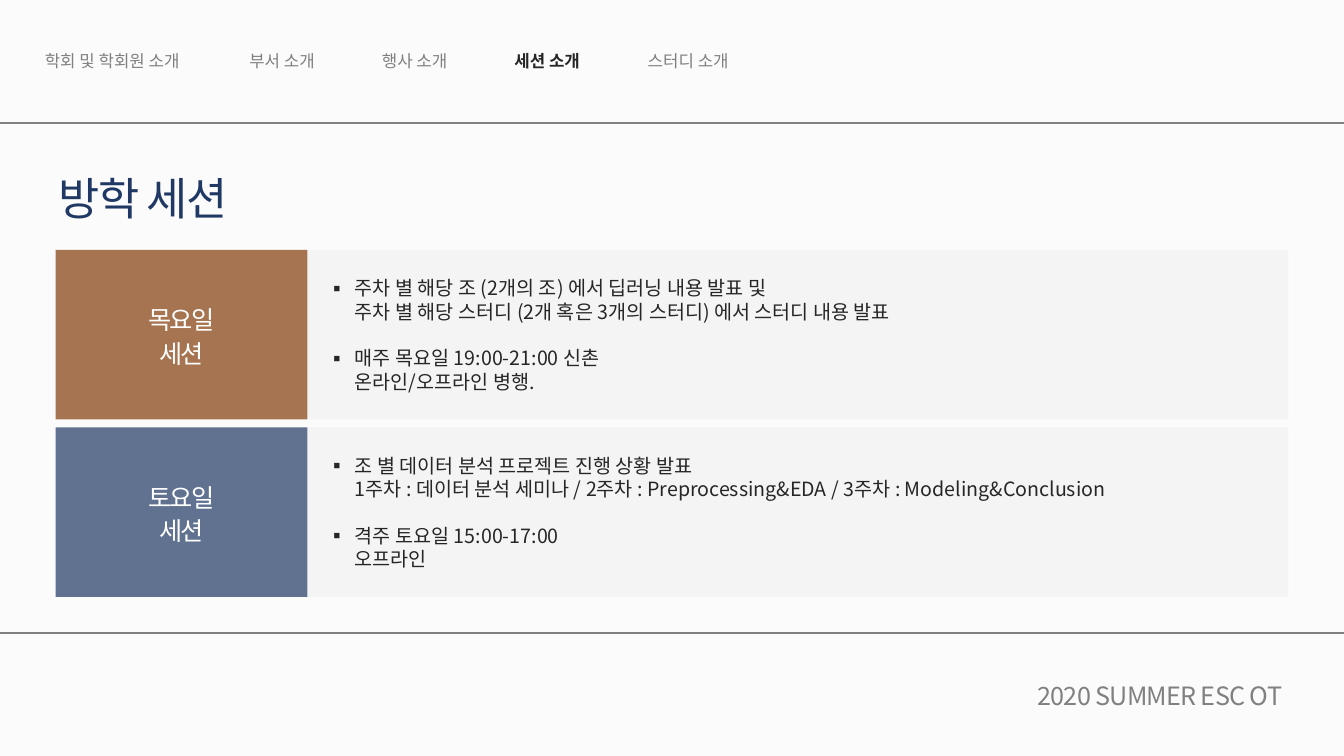
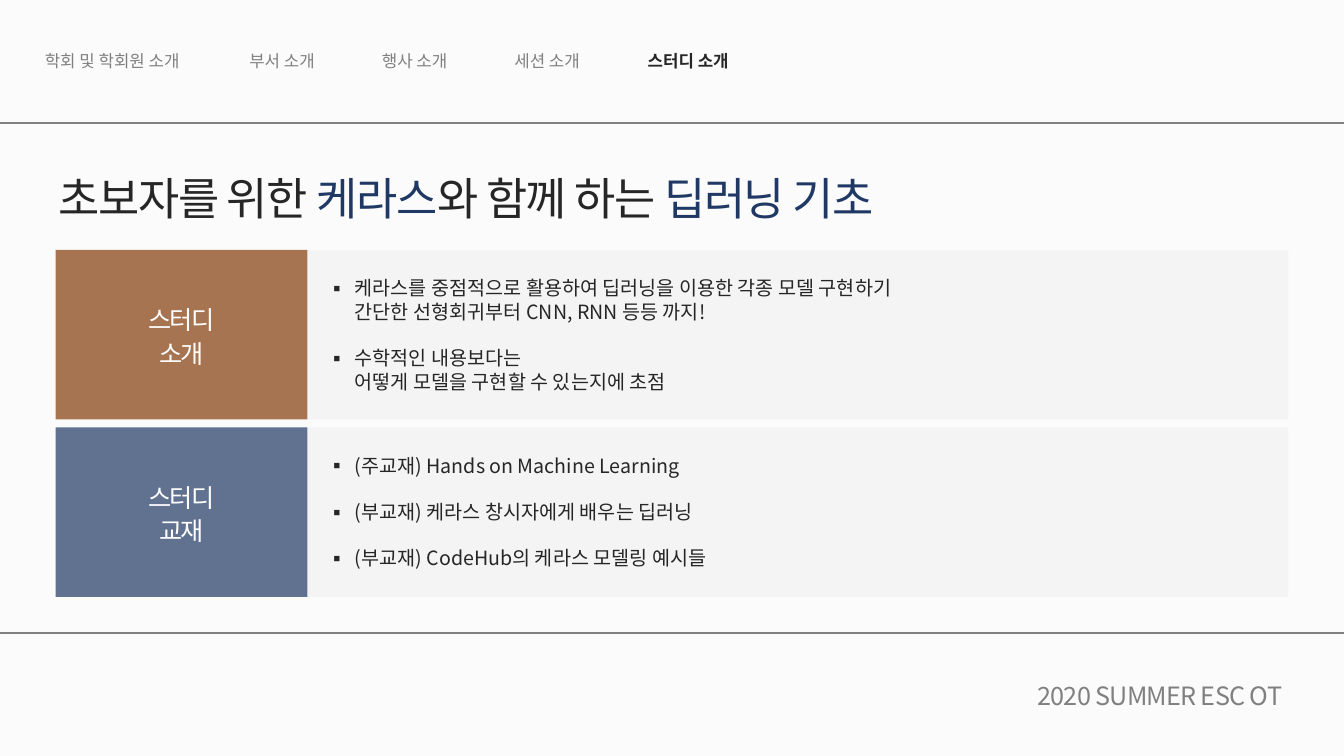
from dataclasses import dataclass

from lxml.etree import SubElement
from pptx import Presentation
from pptx.dml.color import RGBColor
from pptx.enum.shapes import MSO_CONNECTOR as Connector, MSO_SHAPE as Shape
from pptx.enum.text import MSO_ANCHOR as Anchor, MSO_AUTO_SIZE as AutoSize, PP_ALIGN as Align
from pptx.oxml.ns import qn
from pptx.util import Cm, Pt


@dataclass(frozen=True)
class Theme:
    paper: str = "FBFBFB"
    ink: str = "262626"
    muted: str = "808080"
    navy: str = "203864"
    rust: str = "843C0B"
    panel: str = "F2F2F2"
    white: str = "FFFFFF"
    font: str = "Noto Sans CJK KR"
    accent_font: str = "Karla"
    title_size: int = 32
    label_size: int = 18
    list_size: int = 14
    menu_size: int = 12
    leading: float = 1.32
    list_leading: float = 1.22
    item_gap: int = 16


THEME = Theme()

MENU = [
    ("학회 및 학회원 소개", 4.14, THEME.font),
    ("부서 소개", 2.26, THEME.accent_font),
    ("행사 소개", 2.26, THEME.accent_font),
    ("세션 소개", 2.26, THEME.accent_font),
    ("스터디 소개", 2.69, THEME.font),
]
FOOTER = "2020 SUMMER ESC OT"

# Titles hold (text, colour, font); panels hold (label lines, items), an item being its lines.
PAGES = [
    {
        "active": "세션 소개",
        "title": [("방학 세션", THEME.navy, THEME.font)],
        "panels": [
            (["목요일", "세션"], [
                ["주차 별 해당 조 (2개의 조) 에서 딥러닝 내용 발표 및",
                 "주차 별 해당 스터디 (2개 혹은 3개의 스터디) 에서 스터디 내용 발표"],
                ["매주 목요일 19:00-21:00 신촌", "온라인/오프라인 병행."],
            ]),
            (["토요일", "세션"], [
                ["조 별 데이터 분석 프로젝트 진행 상황 발표",
                 "1주차 : 데이터 분석 세미나 / 2주차 : Preprocessing&EDA / "
                 "3주차 : Modeling&Conclusion"],
                ["격주 토요일 15:00-17:00", "오프라인"],
            ]),
        ],
    },
    {
        "active": "스터디 소개",
        "title": [
            ("초보자를 위한 ", THEME.ink, THEME.font),
            ("케라스", THEME.navy, THEME.accent_font),
            ("와 함께 하는 ", THEME.ink, THEME.font),
            ("딥러닝 기초", THEME.navy, THEME.font),
        ],
        "panels": [
            (["스터디", "소개"], [
                ["케라스를 중점적으로 활용하여 딥러닝을 이용한 각종 모델 구현하기",
                 "간단한 선형회귀부터 CNN, RNN 등등 까지!"],
                ["수학적인 내용보다는", "어떻게 모델을 구현할 수 있는지에 초점"],
            ]),
            (["스터디", "교재"], [
                ["(주교재) Hands on Machine Learning"],
                ["(부교재) 케라스 창시자에게 배우는 딥러닝"],
                ["(부교재) CodeHub의 케라스 모델링 예시들"],
            ]),
        ],
    },
]

PAGE_WIDTH, PAGE_HEIGHT = 33.87, 19.05
RULE_TOPS = (3.1, 15.95)
MENU_LEFT, MENU_TOP, MENU_HEIGHT, MENU_GAP = 0.76, 1.09, 0.81, 1.08
PANEL_LEFT, PANEL_TOP, PANEL_HEIGHT, PANEL_GAP = 1.4, 6.3, 4.27, 0.2
LABEL_WIDTH, LIST_WIDTH = 6.35, 24.71
LIST_INSET, LIST_INDENT, LIST_TOP = 0.5, 0.69, 0.65
TWO_CONTENT = 3


def place(shape, left, top, width, height):
    shape.left, shape.top = Cm(left), Cm(top)
    shape.width, shape.height = Cm(width), Cm(height)


def add_span(para, text, size, color, font=THEME.font, bold=False, tracking=0):
    """Add one run; tracking is in hundredths of a point."""
    span = para.add_run()
    span.text = text
    span.font.size, span.font.bold, span.font.name = Pt(size), bold, font
    span.font.color.rgb = RGBColor.from_string(color)
    properties = span._r.get_or_add_rPr()
    properties.set("spc", str(tracking))
    SubElement(properties, qn("a:ea")).set("typeface", THEME.font)


def set_para(para, align, size, leading=THEME.leading, before=0):
    para.alignment = align
    para.line_spacing = Pt(round(size * leading))
    para.space_before, para.space_after = Pt(before), Pt(0)


def paragraph_at(frame, index):
    return frame.add_paragraph() if index else frame.paragraphs[0]


def tint(shape, color, opacity):
    shape.fill.solid()
    shape.fill.fore_color.rgb = RGBColor.from_string(color)
    color_node = shape._element.spPr.find(".//" + qn("a:srgbClr"))
    SubElement(color_node, qn("a:alpha")).set("val", str(opacity * 1000))
    shape.line.fill.background()


def add_bullet(para):
    properties = para._p.get_or_add_pPr()
    properties.set("marL", str(Cm(LIST_INDENT)))
    properties.set("indent", str(-Cm(LIST_INDENT)))
    color = SubElement(properties, qn("a:buClr"))
    SubElement(color, qn("a:srgbClr")).set("val", THEME.ink)
    SubElement(properties, qn("a:buFont")).set("typeface", THEME.font)
    SubElement(properties, qn("a:buChar")).set("char", "▪")


def add_rules(page):
    for top in RULE_TOPS:
        rule = page.shapes.add_connector(
            Connector.STRAIGHT, Cm(0), Cm(top), Cm(PAGE_WIDTH), Cm(top))
        rule.line.color.rgb = RGBColor.from_string(THEME.muted)
        rule.line.width = Pt(1)
        SubElement(rule._element.spPr, qn("a:effectLst"))


def add_menu(page, active):
    menu = page.shapes.add_group_shape()
    left = MENU_LEFT
    for text, width, font in MENU:
        box = menu.shapes.add_textbox(Cm(left), Cm(MENU_TOP), Cm(width), Cm(MENU_HEIGHT))
        para = box.text_frame.paragraphs[0]
        set_para(para, Align.CENTER, THEME.menu_size)
        chosen = text == active
        add_span(para, text, THEME.menu_size, THEME.ink if chosen else THEME.muted,
                 THEME.accent_font if chosen else font, chosen)
        left += width + MENU_GAP


def add_footer(page):
    box = page.shapes.add_textbox(Cm(24.26), Cm(16.94), Cm(8.3), Cm(1.09))
    box.text_frame.word_wrap = True
    para = box.text_frame.paragraphs[0]
    set_para(para, Align.RIGHT, THEME.label_size)
    add_span(para, FOOTER, THEME.label_size, THEME.muted, tracking=-50)


def fill_title(title, spans):
    place(title, 1.22, 4.04, 30, 1.75)
    frame = title.text_frame
    frame.auto_size = AutoSize.NONE
    frame.vertical_anchor = Anchor.MIDDLE
    para = frame.paragraphs[0]
    set_para(para, Align.LEFT, THEME.title_size)
    for text, color, font in spans:
        add_span(para, text, THEME.title_size, color, font, tracking=-100)


def add_label(page, top, lines, color):
    label = page.shapes.add_shape(
        Shape.RECTANGLE, Cm(PANEL_LEFT), Cm(top), Cm(LABEL_WIDTH), Cm(PANEL_HEIGHT))
    label.shadow.inherit = False
    tint(label, color, 70)
    label.text_frame.vertical_anchor = Anchor.MIDDLE
    for index, line in enumerate(lines):
        para = paragraph_at(label.text_frame, index)
        set_para(para, Align.CENTER, THEME.label_size)
        add_span(para, line, THEME.label_size, THEME.white, tracking=-100)


def fill_list(body, top, items):
    place(body, PANEL_LEFT + LABEL_WIDTH, top, LIST_WIDTH, PANEL_HEIGHT)
    tint(body, THEME.panel, 75)
    frame = body.text_frame
    frame.auto_size = AutoSize.NONE
    frame.vertical_anchor = Anchor.TOP
    frame.margin_left, frame.margin_top = Cm(LIST_INSET), Cm(LIST_TOP)
    for index, lines in enumerate(items):
        para = paragraph_at(frame, index)
        add_bullet(para)
        set_para(para, Align.LEFT, THEME.list_size, THEME.list_leading,
                 THEME.item_gap if index else 0)
        for number, line in enumerate(lines):
            if number:
                para.add_line_break()
            add_span(para, line, THEME.list_size, THEME.ink)


def build_page(deck, content):
    page = deck.slides.add_slide(deck.slide_layouts[TWO_CONTENT])
    add_rules(page)
    add_menu(page, content["active"])
    fill_title(page.shapes.title, content["title"])
    bodies = [page.placeholders[1], page.placeholders[2]]
    colors = [THEME.rust, THEME.navy]
    for index, (label, items) in enumerate(content["panels"]):
        top = PANEL_TOP + index * (PANEL_HEIGHT + PANEL_GAP)
        add_label(page, top, label, colors[index])
        fill_list(bodies[index], top, items)
    add_footer(page)


def main():
    deck = Presentation()
    deck.slide_width, deck.slide_height = Cm(PAGE_WIDTH), Cm(PAGE_HEIGHT)
    background = deck.slide_master.background.fill
    background.solid()
    background.fore_color.rgb = RGBColor.from_string(THEME.paper)
    for content in PAGES:
        build_page(deck, content)
    deck.save("out.pptx")


if __name__ == "__main__":
    main()
